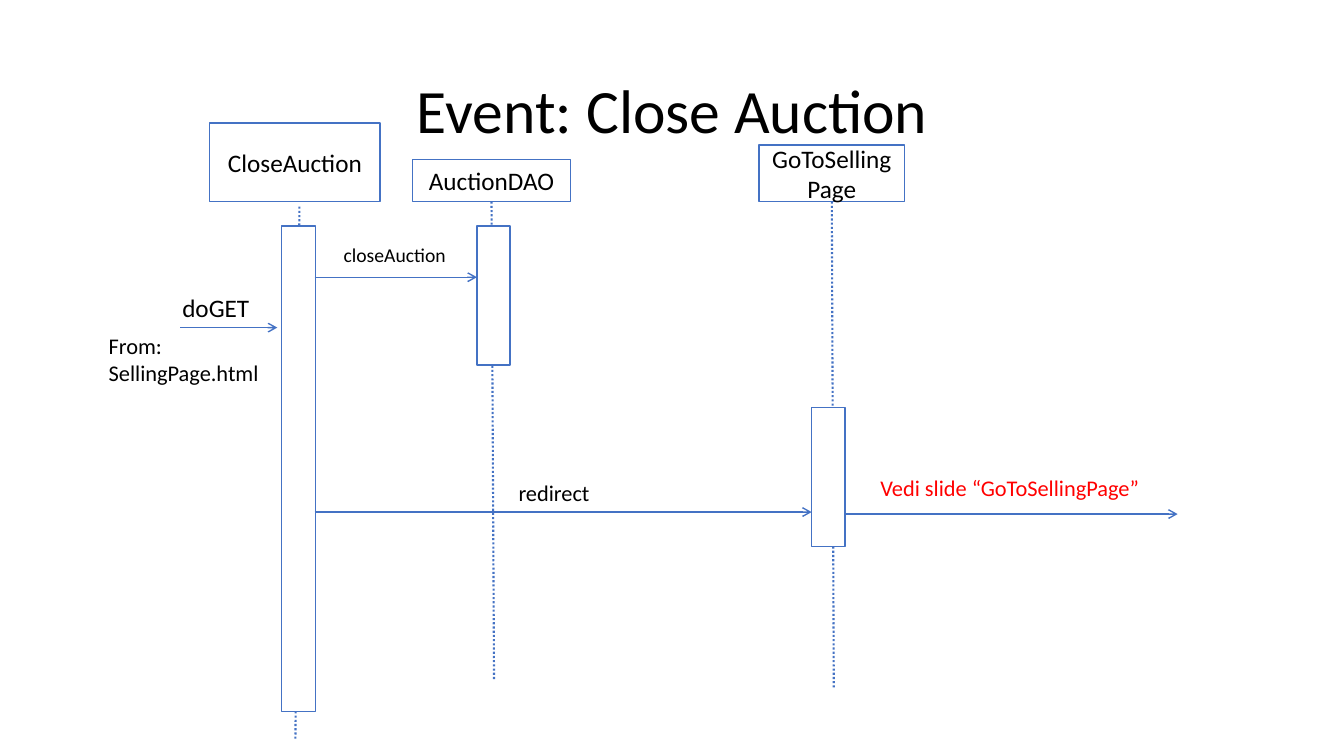
import pptx
import pptx.util
import pptx.dml.color
import pptx.enum.dml
import pptx.enum.shapes
import pptx.enum.text
import pptx.oxml
import pptx.oxml.ns

Inches, Pt = pptx.util.Inches, pptx.util.Pt
RGB = pptx.dml.color.RGBColor.from_string
ALIGN, ANCHOR = pptx.enum.text.PP_ALIGN, pptx.enum.text.MSO_ANCHOR
RECT = pptx.enum.shapes.MSO_SHAPE.RECTANGLE
COLORS = {"ink": "000000", "line": "4472C4", "fill": "FFFFFF", "note": "FF0000"}


def write(shape, text, size=18, color="ink", align=ALIGN.CENTER,
          anchor=ANCHOR.MIDDLE, wrap=True, space=1.0):
    frame = shape.text_frame
    frame.word_wrap = wrap
    frame.vertical_anchor = anchor
    par = frame.paragraphs[0]
    par.alignment = align
    par.line_spacing = space
    run = par.add_run()
    run.text = text
    run.font.name = "Calibri"
    run.font.size = Pt(size)
    run.font.color.rgb = RGB(COLORS[color])


def draw(start, end, dotted=False):
    """Add a dotted lifeline or a solid arrow."""
    line = slide.shapes.add_connector(
        pptx.enum.shapes.MSO_CONNECTOR.STRAIGHT,
        *map(Inches, start), *map(Inches, end))
    line.line.color.rgb = RGB(COLORS["line"])
    line.line.width = Pt(1.5 if dotted else 1)
    props = line.element.spPr
    if dotted:
        line.line.dash_style = pptx.enum.dml.MSO_LINE.ROUND_DOT
    else:
        stroke = props.find(pptx.oxml.ns.qn("a:ln"))
        tip = pptx.oxml.parse_xml(
            f'<a:tailEnd {pptx.oxml.ns.nsdecls("a")} type="arrow"/>')
        stroke.append(tip)
    props.append(pptx.oxml.parse_xml(
        f'<a:effectLst {pptx.oxml.ns.nsdecls("a")}/>'))
    return line


deck = pptx.Presentation()
deck.slide_width, deck.slide_height = Inches(13.33), Inches(7.5)
slide = deck.slides.add_slide(deck.slide_layouts[6])

title = slide.shapes.add_textbox(*map(Inches, (0.92, 0.4, 11.5, 1.45)))
write(title, "Event: Close Auction", size=44, space=0.9)

# name, head box, lifeline start and end, activation bar
roles = [
    ("CloseAuction", (2.08, 1.22, 1.69, 0.78),
     (2.97, 2.05), (2.93, 7.34), (2.79, 2.24, 0.34, 4.82)),
    ("AuctionDAO", (4.09, 1.58, 1.57, 0.42),
     (4.87, 2), (4.9, 6.75), (4.73, 2.24, 0.33, 1.38)),
    ("GoToSellingPage", (7.53, 1.44, 1.44, 0.56),
     (8.25, 2), (8.27, 6.84), (8.05, 4.04, 0.33, 1.38)),
]
for name, head, start, end, bar in roles:
    top = slide.shapes.add_shape(RECT, *map(Inches, head))
    write(top, name)
    life = draw(start, end, dotted=True)
    if name != "CloseAuction":
        life.begin_connect(top, 2)
    block = slide.shapes.add_shape(RECT, *map(Inches, bar))
    for box in (top, block):
        box.shadow.inherit = False
        box.fill.solid()
        box.fill.fore_color.rgb = RGB(COLORS["fill"])
        box.line.color.rgb = RGB(COLORS["line"])
        box.line.width = Pt(1)

# start x, end x, height of each message
for left, right, y in [(1.79, 2.75, 3.25), (3.12, 4.73, 2.75),
                       (3.12, 8.05, 5.08), (8.39, 11.68, 5.1)]:
    draw((left, y), (right, y))

labels = [
    ("doGET", (1.71, 2.85, 0.87, 0.4),
     dict(align=ALIGN.LEFT, wrap=False)),
    ("closeAuction", (3.31, 2.36, 1.23, 0.34),
     dict(size=14, align=ALIGN.LEFT, wrap=False)),
    ("redirect", (3.37, 4.7, 4.25, 0.37), dict(size=16)),
    ("From: SellingPage.html", (0.98, 3.25, 1.75, 0.64),
     dict(size=16, align=ALIGN.LEFT)),
    ("Vedi slide “GoToSellingPage”", (7.89, 4.65, 4.25, 0.37),
     dict(size=16, color="note")),
]
for text, place, style in labels:
    label = slide.shapes.add_textbox(*map(Inches, place))
    write(label, text, anchor=ANCHOR.TOP, **style)

deck.save("out.pptx")
